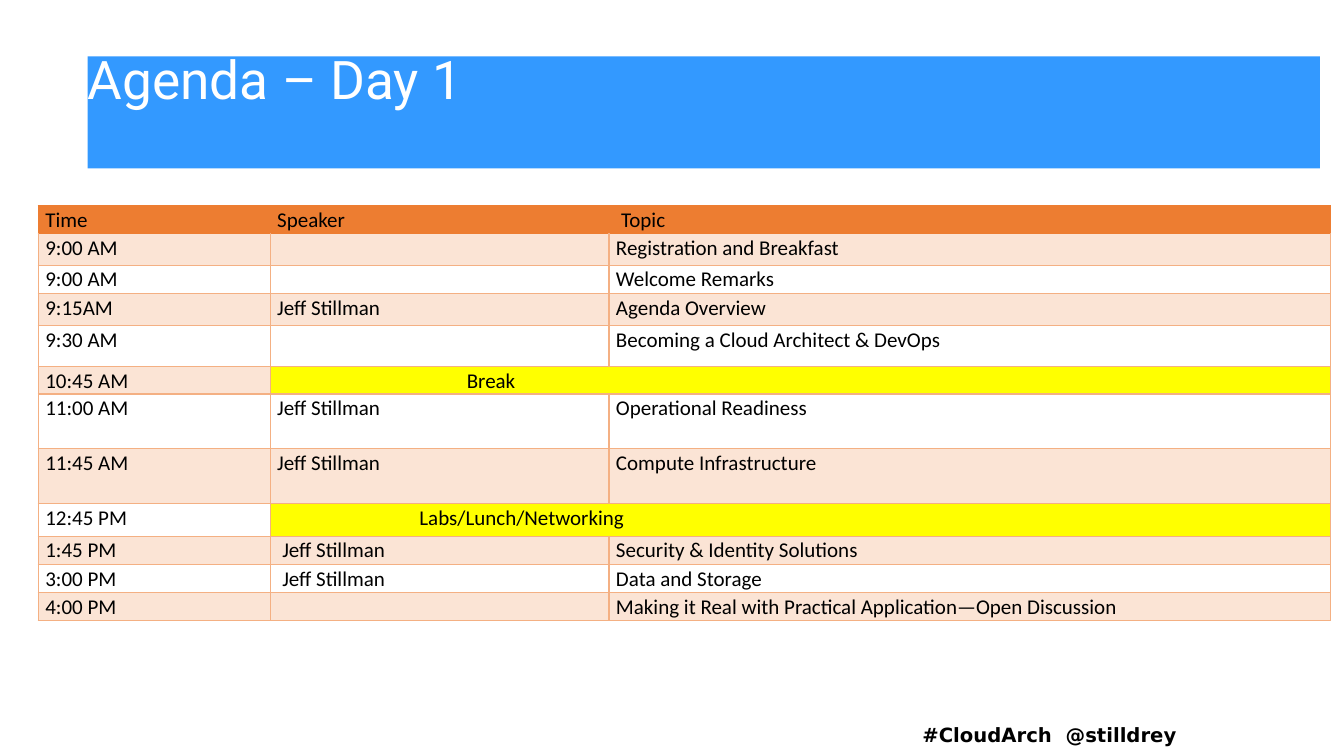
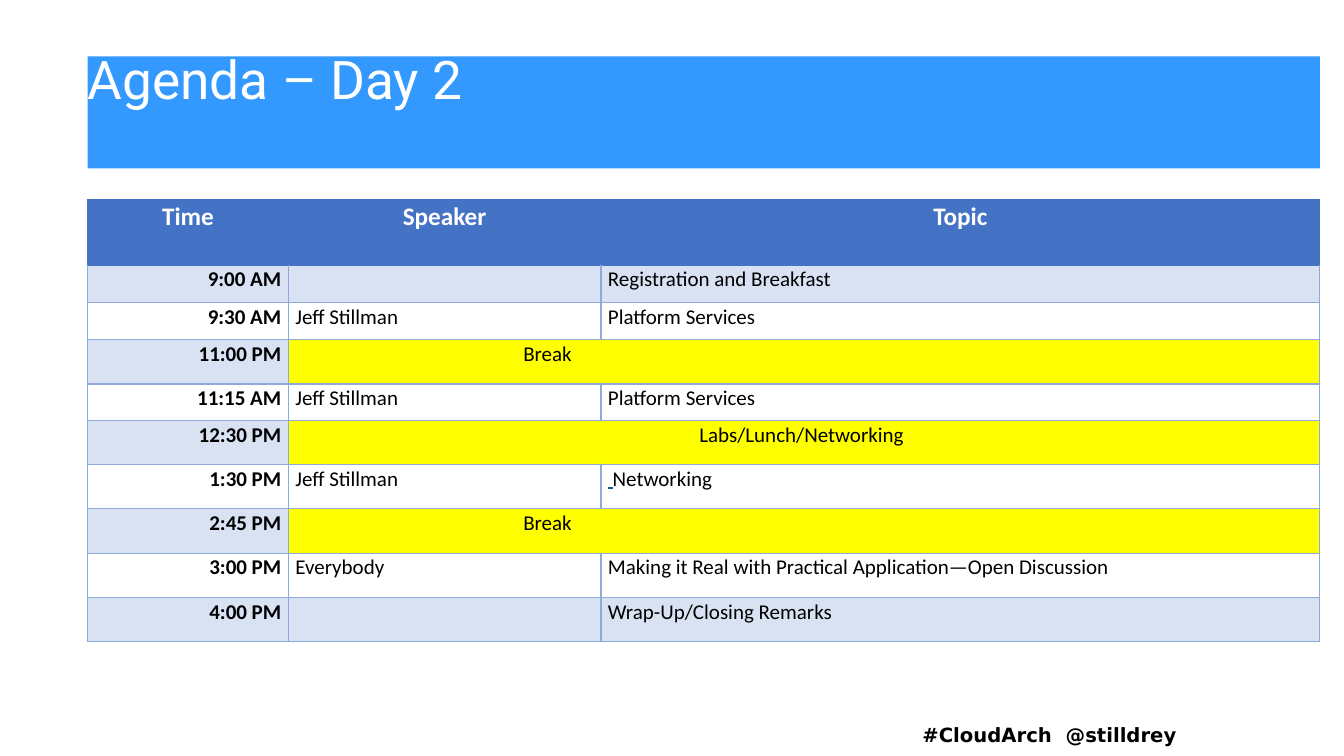
"""Build the two-day agenda deck."""
from dataclasses import dataclass

from lxml import etree
from pptx import Presentation
from pptx.dml.color import RGBColor
from pptx.enum.text import MSO_ANCHOR, MSO_AUTO_SIZE, PP_ALIGN
from pptx.oxml.ns import qn
from pptx.util import Inches, Pt

LEFT, CENTER, RIGHT = PP_ALIGN.LEFT, PP_ALIGN.CENTER, PP_ALIGN.RIGHT
TOP = MSO_ANCHOR.TOP
NO_AUTOFIT = MSO_AUTO_SIZE.NONE

BLACK = RGBColor(0x00, 0x00, 0x00)
WHITE = RGBColor(0xFF, 0xFF, 0xFF)
TITLE_BLUE = RGBColor(0x33, 0x99, 0xFF)
LINK_BLUE = RGBColor(0x00, 0x66, 0x99)
BREAK_YELLOW = RGBColor(0xFF, 0xFF, 0x00)
ORANGE = RGBColor(0xED, 0x7D, 0x31)
ORANGE_BAND = RGBColor(0xFB, 0xE4, 0xD5)
ORANGE_LINE = RGBColor(0xF4, 0xB0, 0x83)
BLUE = RGBColor(0x44, 0x72, 0xC4)
BLUE_BAND = RGBColor(0xD9, 0xE2, 0xF3)
BLUE_LINE = RGBColor(0x8E, 0xAA, 0xDB)

TITLE_FONT, TABLE_FONT, FOOTER_FONT = "Roboto", "Calibri", "DejaVu Sans"
FOOTER_TEXT = "#CloudArch  @stilldrey"
CELL_MARGIN = 0.07
BODY_SIZE = 15
OPEN_DISCUSSION = "Making it Real with Practical Application—Open Discussion"
HOST = "Jeff Stillman"


@dataclass(frozen=True)
class Entry:
    """One agenda row; a break spans the speaker and topic columns."""
    height: float
    time: str
    speaker: str = ""
    topic: str = ""
    is_break: bool = False
    indent: float = 0
    align: PP_ALIGN = LEFT
    underlined_lead: str = ""


@dataclass(frozen=True)
class Palette:
    """Colours of one agenda table."""
    header: RGBColor
    header_text: RGBColor
    band: RGBColor
    line: RGBColor


@dataclass(frozen=True)
class Agenda:
    """One day's slide."""
    title: str
    left: float
    top: float
    columns: tuple[float, ...]
    palette: Palette
    header_height: float
    header_size: int
    header_align: PP_ALIGN
    header_bold: bool
    topic_indent: float
    time_align: PP_ALIGN
    time_bold: bool
    entries: tuple[Entry, ...]


@dataclass(frozen=True)
class TextStyle:
    """Paragraph look inside a cell."""
    size: int = BODY_SIZE
    color: RGBColor = BLACK
    bold: bool = False
    align: PP_ALIGN = LEFT
    indent: float = 0


DAY_ONE = Agenda(
    "Agenda – Day 1", 0.38, 2.04, (2.3, 3.36, 7.16),
    Palette(ORANGE, BLACK, ORANGE_BAND, ORANGE_LINE),
    0.28, BODY_SIZE, LEFT, False, 0.05, LEFT, False,
    (
        Entry(0.31, "9:00 AM", "", "Registration and Breakfast"),
        Entry(0.28, "9:00 AM", "", "Welcome Remarks"),
        Entry(0.32, "9:15AM", HOST, "Agenda Overview"),
        Entry(0.41, "9:30 AM", "", "Becoming a Cloud Architect & DevOps"),
        Entry(0.27, "10:45 AM", "Break", is_break=True, indent=1.88),
        Entry(0.54, "11:00 AM", HOST, "Operational Readiness"),
        Entry(0.55, "11:45 AM", HOST, "Compute Infrastructure"),
        Entry(0.32, "12:45 PM", "Labs/Lunch/Networking", is_break=True, indent=1.41),
        Entry(0.28, "1:45 PM", HOST, "Security & Identity Solutions", indent=0.05),
        Entry(0.28, "3:00 PM", HOST, "Data and Storage", indent=0.05),
        Entry(0.28, "4:00 PM", "", OPEN_DISCUSSION),
    ),
)

DAY_TWO = Agenda(
    "Agenda – Day 2", 0.87, 1.98, (1.99, 3.1, 7.13),
    Palette(BLUE, WHITE, BLUE_BAND, BLUE_LINE),
    0.65, 18, CENTER, True, 0, RIGHT, True,
    (
        Entry(0.37, "9:00 AM", "", "Registration and Breakfast"),
        Entry(0.37, "9:30 AM", HOST, "Platform Services"),
        Entry(0.44, "11:00 PM", "Break", is_break=True, indent=2.26),
        Entry(0.36, "11:15 AM", HOST, "Platform Services"),
        Entry(0.44, "12:30 PM", "Labs/Lunch/Networking", is_break=True, indent=-0.05,
              align=CENTER),
        Entry(0.44, "1:30 PM", HOST, "Networking", underlined_lead=" "),
        Entry(0.44, "2:45 PM", "Break", is_break=True, indent=2.26),
        Entry(0.44, "3:00 PM", "Everybody", OPEN_DISCUSSION),
        Entry(0.44, "4:00 PM", "", "Wrap-Up/Closing Remarks"),
    ),
)


def set_borders(cell, color: RGBColor, top_color: RGBColor) -> None:
    """Give a cell one-point borders."""
    properties = cell._tc.get_or_add_tcPr()
    edges = (("lnL", color), ("lnR", color), ("lnT", top_color), ("lnB", color))
    for position, (edge, edge_color) in enumerate(edges):
        line = etree.Element(qn(f"a:{edge}"), w=str(Pt(1)))
        fill = etree.SubElement(line, qn("a:solidFill"))
        etree.SubElement(fill, qn("a:srgbClr"), val=str(edge_color))
        properties.insert(position, line)


def paint_cell(cell, fill: RGBColor, line: RGBColor, top_line: RGBColor) -> None:
    """Fill and outline a cell."""
    cell.fill.solid()
    cell.fill.fore_color.rgb = fill
    set_borders(cell, line, top_line)


def write_cell(cell, text: str, style: TextStyle, underlined_lead: str = "") -> None:
    """Write one formatted paragraph into a cell."""
    cell.margin_left = Inches(CELL_MARGIN + style.indent)
    cell.margin_right = Inches(CELL_MARGIN)
    cell.margin_top = cell.margin_bottom = 0
    para = cell.text_frame.paragraphs[0]
    para.alignment = style.align
    para.line_spacing = 1.07
    font = para.font
    font.name, font.size, font.bold = TABLE_FONT, Pt(style.size), style.bold
    font.color.rgb = style.color
    if underlined_lead:
        lead = para.add_run()
        lead.text = underlined_lead
        lead.font.underline = True
        lead.font.color.rgb = LINK_BLUE
    if text:
        para.add_run().text = text


def add_title(slide, text: str) -> None:
    """Format the title placeholder as the blue band."""
    title = slide.shapes.title
    title.left, title.top = Inches(0.87), Inches(0.56)
    title.width, title.height = Inches(12.22), Inches(1.11)
    title.fill.solid()
    title.fill.fore_color.rgb = TITLE_BLUE
    frame = title.text_frame
    frame.text = text
    frame.auto_size = NO_AUTOFIT
    frame.vertical_anchor = TOP
    frame.margin_left = frame.margin_right = frame.margin_top = frame.margin_bottom = 0
    para = frame.paragraphs[0]
    para.alignment = LEFT
    para.line_spacing = 0.85
    para.font.name, para.font.size = TITLE_FONT, Pt(38)
    para.font.color.rgb = WHITE


def add_table(slide, agenda: Agenda) -> None:
    """Draw the agenda table."""
    heights = [agenda.header_height] + [entry.height for entry in agenda.entries]
    table = slide.shapes.add_table(
        len(heights), len(agenda.columns), Inches(agenda.left), Inches(agenda.top),
        Inches(sum(agenda.columns)), Inches(sum(heights))).table
    table.horz_banding = False
    for column, width in zip(table.columns, agenda.columns):
        column.width = Inches(width)
    for row, height in zip(table.rows, heights):
        row.height = Inches(height)

    palette = agenda.palette
    for index, label in enumerate(("Time", "Speaker", "Topic")):
        cell = table.cell(0, index)
        indent = agenda.topic_indent if label == "Topic" else 0
        write_cell(cell, label, TextStyle(agenda.header_size, palette.header_text,
                                          agenda.header_bold, agenda.header_align, indent))
        paint_cell(cell, palette.header, palette.header, palette.header)

    time_style = TextStyle(bold=agenda.time_bold, align=agenda.time_align)
    for number, entry in enumerate(agenda.entries, start=1):
        time, speaker, topic = (table.cell(number, index) for index in range(3))
        band = palette.band if number % 2 else WHITE
        top_line = palette.header if number == 1 else palette.line
        write_cell(time, entry.time, time_style)
        write_cell(speaker, entry.speaker, TextStyle(align=entry.align, indent=entry.indent))
        write_cell(topic, entry.topic, TextStyle(), entry.underlined_lead)
        paint_cell(time, band, palette.line, top_line)
        for cell in (speaker, topic):
            paint_cell(cell, BREAK_YELLOW if entry.is_break else band, palette.line, top_line)
        if entry.is_break:
            speaker.merge(topic)


def add_footer(slide) -> None:
    """Write the shared footer line."""
    box = slide.shapes.add_textbox(Inches(9.05), Inches(7.12), Inches(4.14), Inches(0.34))
    box.text_frame.word_wrap = True
    para = box.text_frame.paragraphs[0]
    para.text = FOOTER_TEXT
    para.font.name, para.font.size, para.font.bold = FOOTER_FONT, Pt(14), True
    para.font.color.rgb = BLACK


def main() -> None:
    """Build and save the deck."""
    deck = Presentation()
    deck.slide_width, deck.slide_height = Inches(13.33), Inches(7.5)
    title_only = deck.slide_layouts[5]
    for agenda in (DAY_ONE, DAY_TWO):
        slide = deck.slides.add_slide(title_only)
        add_footer(slide)
        add_title(slide, agenda.title)
        add_table(slide, agenda)
    deck.save("out.pptx")


if __name__ == "__main__":
    main()
